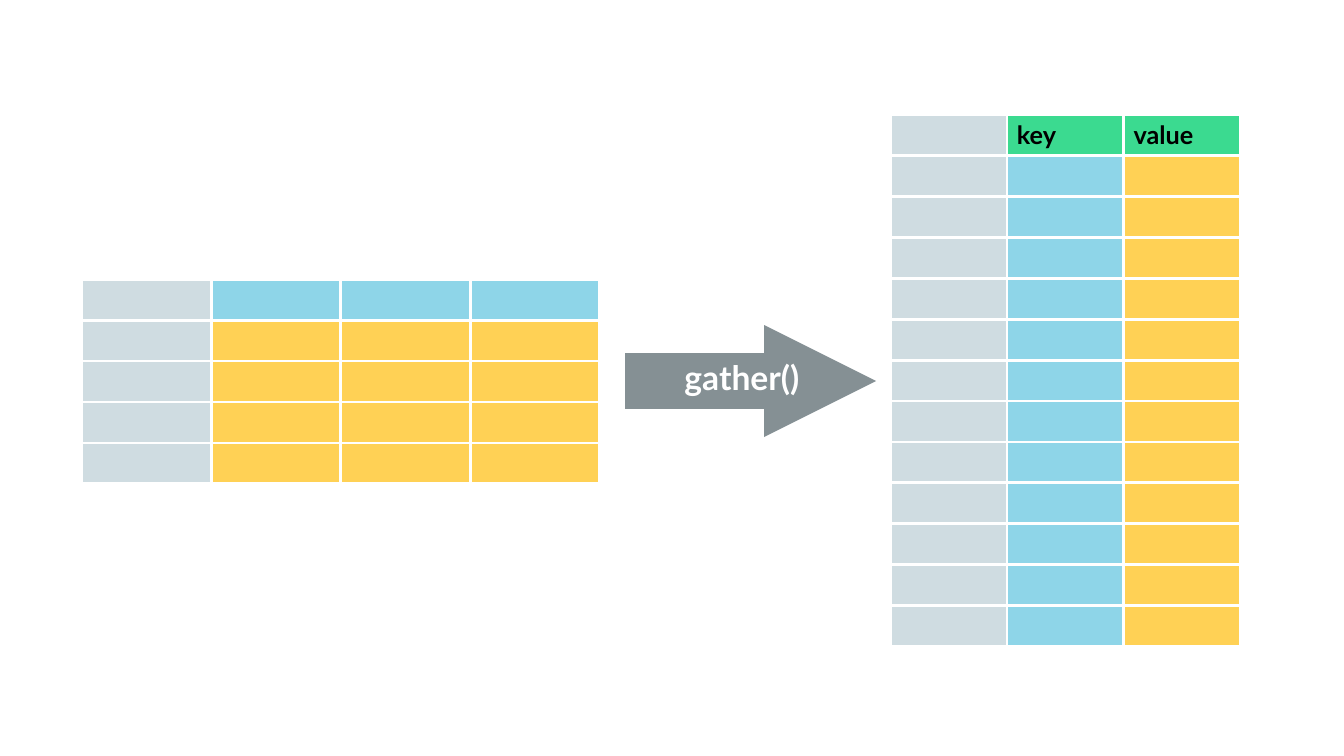
"""Draw a slide on how gather() turns a wide table into a long one."""
from lxml.etree import SubElement as Sub
from pptx import Presentation
from pptx.dml.color import RGBColor as RGB
from pptx.enum.shapes import MSO_CONNECTOR as Link
from pptx.enum.text import MSO_AUTO_SIZE as Fit
from pptx.oxml.ns import qn
from pptx.util import Inches, Pt

HUES = {"id": "CFDCE1", "key": "8ED5E8", "val": "FFD155", "head": "3BDA90",
        "arrow": "859094", "black": "000000", "white": "FFFFFF"}
LONG = [[("id", ""), ("head", "key"), ("head", "value")]]
LONG += [[("id", ""), ("key", ""), ("val", "")]] * 12
WIDE = [[("id", "")] + [("key", "")] * 3]
WIDE += [[("id", "")] + [("val", "")] * 3] * 4
GRIDS = [(LONG, (8.83, 1.14, 3.47, 5.27)), (WIDE, (0.81, 2.77, 5.14, 2.03))]
LABEL = "gather()"


def write(para, text, size, hue):
    run = para.add_run()
    run.text = text
    font = run.font
    font.name, font.size, font.bold = "Lato", Pt(size), True
    font.color.rgb = RGB.from_string(HUES[hue])


def edge(cell):
    props = cell._tc.get_or_add_tcPr()
    for spot, side in enumerate(("lnL", "lnR", "lnT", "lnB")):
        line = props.makeelement(qn("a:" + side), {"w": str(Pt(2.25))})
        fill = Sub(line, qn("a:solidFill"))
        Sub(fill, qn("a:srgbClr"), val=HUES["white"])
        props.insert(spot, line)


def grid(slide, rows, box):
    frame = slide.shapes.add_table(len(rows), len(rows[0]), *map(Inches, box))
    table = frame.table
    table.first_row = table.horz_banding = False
    for r, row in enumerate(rows):
        for c, (hue, text) in enumerate(row):
            cell = table.cell(r, c)
            cell.fill.solid()
            cell.fill.fore_color.rgb = RGB.from_string(HUES[hue])
            edge(cell)
            if text:
                write(cell.text_frame.paragraphs[0], text, 18, "black")


def arrow(slide, start, end, y):
    link = slide.shapes.add_connector(
        Link.STRAIGHT, Inches(start), Inches(y), Inches(end), Inches(y))
    link.line.width = Pt(40)
    link.line.color.rgb = RGB.from_string(HUES["arrow"])
    props = link._element.spPr
    Sub(props.find(qn("a:ln")), qn("a:tailEnd"), type="triangle", w="sm", len="sm")
    Sub(props, qn("a:effectLst"))


deck = Presentation()
deck.slide_width, deck.slide_height = Inches(13.33), Inches(7.5)
slide = deck.slides.add_slide(deck.slide_layouts[6])
for rows, box in GRIDS:
    grid(slide, rows, box)
arrow(slide, 6.2, 8.69, 3.78)
label = slide.shapes.add_textbox(*map(Inches, (6.69, 3.49, 1.39, 0.5))).text_frame
label.word_wrap, label.auto_size = False, Fit.SHAPE_TO_FIT_TEXT
write(label.paragraphs[0], LABEL, 24, "white")
deck.save("out.pptx")
